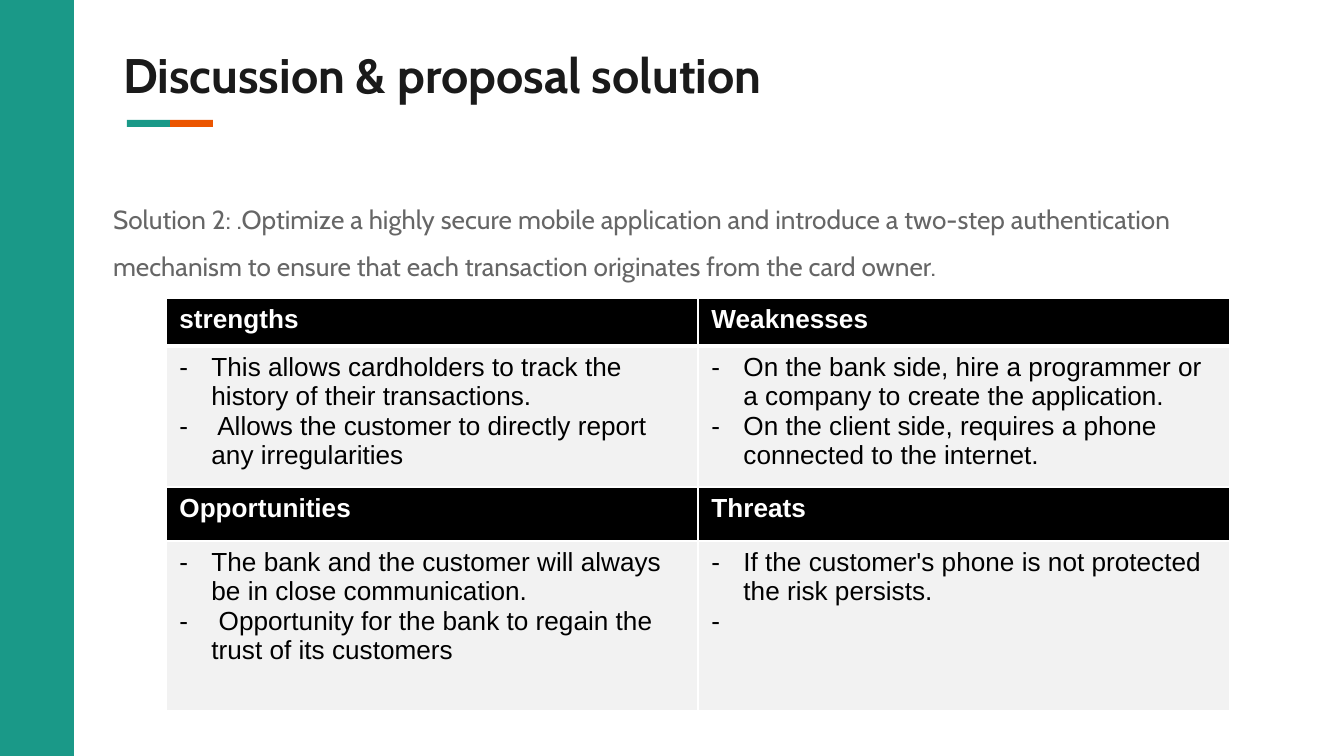
"""Build the SWOT slide for the second proposed solution."""
from dataclasses import dataclass

from lxml import etree
from pptx import Presentation
from pptx import util as u
from pptx.dml import color
from pptx.enum import shapes, text
from pptx.oxml import ns

WIDE, HIGH = 1344, 756


@dataclass(frozen=True)
class Theme:
    teal: str = "1A9988"
    orange: str = "EB5500"
    ink: str = "1A1A1A"
    gray: str = "666666"
    black: str = "000000"
    white: str = "FFFFFF"
    pale: str = "F2F2F2"
    head: str = "Cabin"
    body: str = "Arial"
    big: int = 26
    small: int = 14


@dataclass(frozen=True)
class Bar:
    left: int
    top: int
    width: int
    height: int
    tint: str


@dataclass(frozen=True)
class Row:
    height: int
    cells: tuple
    title: bool = False


THEME = Theme()
BARS = (
    Bar(0, 0, 74, HIGH, THEME.teal),
    Bar(127, 120, 43, 7, THEME.teal),
    Bar(170, 120, 43, 7, THEME.orange),
)
ROWS = (
    Row(48, (("strengths",), ("Weaknesses",)), True),
    Row(141, (
        ("This allows cardholders to track the history of their transactions.",
         " Allows the customer to directly report any irregularities"),
        ("On the bank side, hire a programmer or a company to create the application.",
         "On the client side, requires a phone connected to the internet."),
    )),
    Row(54, (("Opportunities",), ("Threats",)), True),
    Row(170, (
        ("The bank and the customer will always be in close communication.",
         " Opportunity for the bank to regain the trust of its customers"),
        ("If the customer's phone is not protected the risk persists.", " "),
    )),
)
CLAIM = (
    "Solution 2: .Optimize a highly secure mobile application and introduce a "
    "two-step authentication mechanism to ensure that each transaction "
    "originates from the card owner."
)


def px(size: int) -> u.Emu:
    """Turn pixels into EMU."""
    return u.Emu(round(size * 9144000 / WIDE))


def rgb(tint: str) -> color.RGBColor:
    """Turn a hex string into a colour."""
    return color.RGBColor.from_string(tint)


def node(root, tag: str, **attrs: str):
    """Append a DrawingML element and return it."""
    return etree.SubElement(root, ns.qn(f"a:{tag}"), **attrs)


def style(para, face: str, size: int, tint: str, bold: bool = False) -> None:
    """Format every run of a paragraph."""
    para.alignment = text.PP_ALIGN.LEFT
    for run in para.runs:
        font = run.font
        font.name, font.size, font.bold = face, u.Pt(size), bold
        font.color.rgb = rgb(tint)


def draw_bar(slide, bar: Bar) -> None:
    """Draw one plain coloured bar."""
    shape = slide.shapes.add_shape(
        shapes.MSO_SHAPE.RECTANGLE,
        px(bar.left), px(bar.top), px(bar.width), px(bar.height))
    shape.shadow.inherit = False
    shape.fill.solid()
    shape.fill.fore_color.rgb = rgb(bar.tint)
    shape.line.fill.background()


def set_frame(frame, words: str, left: int = 0) -> None:
    """Fill a text frame that has tight margins."""
    frame.text = words
    frame.word_wrap = True
    frame.auto_size = text.MSO_AUTO_SIZE.NONE
    frame.vertical_anchor = text.MSO_ANCHOR.TOP
    frame.margin_left, frame.margin_top = px(left), px(1)
    frame.margin_right = frame.margin_bottom = 0


def add_dash(para) -> None:
    """Give a paragraph a hanging dash bullet."""
    props = para._p.get_or_add_pPr()
    props.set("marL", str(px(32)))
    props.set("indent", str(-px(32)))
    node(node(props, "buClr"), "srgbClr", val=THEME.black)
    node(props, "buFont", typeface=THEME.body)
    node(props, "buChar", char="-")


def add_edges(cell, base: int) -> None:
    """Draw white borders round a cell, with the bottom one in base points."""
    props = cell._tc.get_or_add_tcPr()
    for spot, (tag, wide) in enumerate(
            (("lnL", 1), ("lnR", 1), ("lnT", 1), ("lnB", base))):
        line = node(props, tag, w=str(u.Pt(wide)))
        node(node(line, "solidFill"), "srgbClr", val=THEME.white)
        props.insert(spot, line)


def fill_cell(cell, lines: tuple, title: bool, base: int) -> None:
    """Write and format one table cell."""
    cell.fill.solid()
    cell.fill.fore_color.rgb = rgb(THEME.black if title else THEME.pale)
    add_edges(cell, base)
    cell.text_frame.text = "\n".join(lines)
    for para in cell.text_frame.paragraphs:
        style(para, THEME.body, THEME.small,
              THEME.white if title else THEME.black, title)
        if not title:
            add_dash(para)


def draw_table(slide, rows: tuple) -> None:
    """Draw the two-column SWOT table."""
    high = sum(row.height for row in rows)
    table = slide.shapes.add_table(
        len(rows), 2, px(166), px(298), px(1064), px(high)).table
    for col in table.columns:
        col.width = px(532)
    for at, row in enumerate(rows):
        table.rows[at].height = px(row.height)
        for side, lines in enumerate(row.cells):
            fill_cell(table.cell(at, side), lines, row.title, 1 if at else 3)


def main() -> None:
    """Build and save the slide."""
    deck = Presentation()
    deck.slide_width, deck.slide_height = px(WIDE), px(HIGH)
    slide = deck.slides.add_slide(deck.slide_layouts[5])
    for bar in BARS:
        draw_bar(slide, bar)

    title = slide.shapes.title
    title.left, title.top, title.width, title.height = map(px, (121, 44, 738, 60))
    set_frame(title.text_frame, "Discussion & proposal solution", 2)
    style(title.text_frame.paragraphs[0], THEME.head, THEME.big, THEME.ink, True)

    claim = slide.shapes.add_textbox(*map(px, (113, 187, 1125, 378)))
    set_frame(claim.text_frame, CLAIM)
    para = claim.text_frame.paragraphs[0]
    para.line_spacing = 1.5
    style(para, THEME.head, THEME.small, THEME.gray)

    draw_table(slide, ROWS)
    deck.save("out.pptx")


if __name__ == "__main__":
    main()
